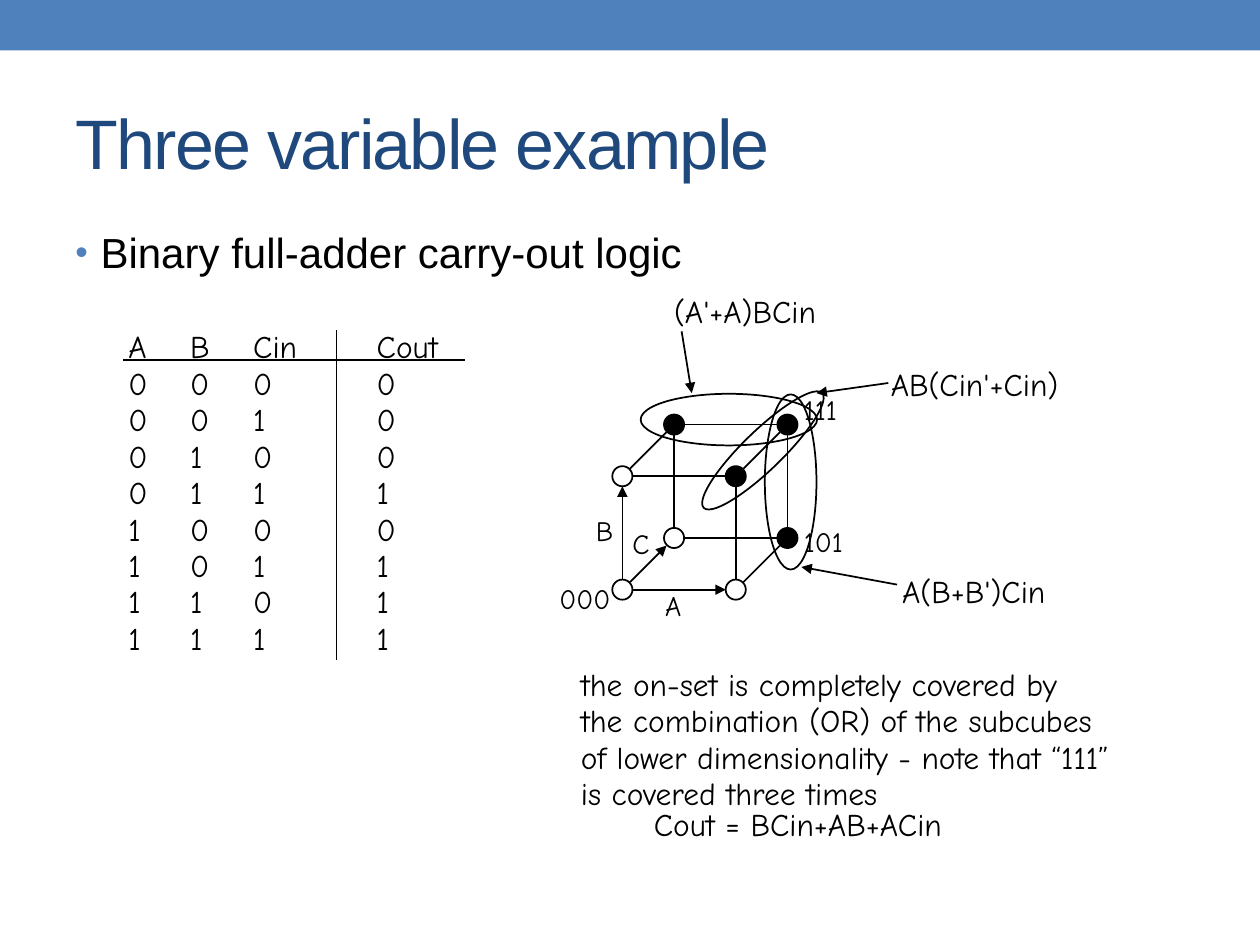
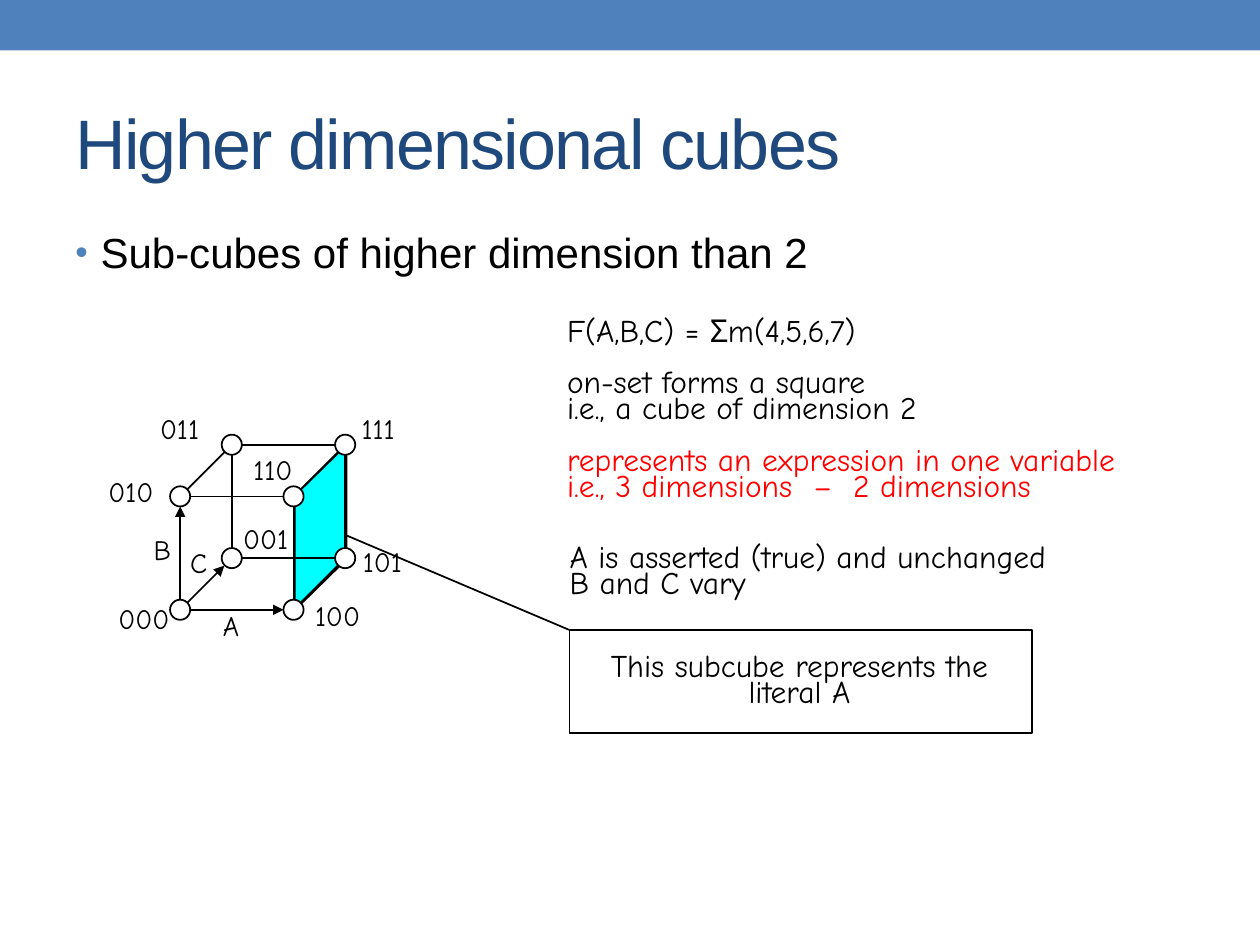
from itertools import product

from lxml.etree import SubElement as Sub
from pptx import Presentation
from pptx.dml.color import RGBColor as RGB
from pptx.enum.shapes import MSO_CONNECTOR as Link, MSO_SHAPE as Form
from pptx.enum.text import MSO_ANCHOR as Anchor, PP_ALIGN as Align
from pptx.oxml.ns import qn
from pptx.util import Pt

PX = 9144  # 100 px to the inch
BLUE = RGB(0x4F, 0x81, 0xBD)
NAVY = RGB(0x1F, 0x49, 0x7D)
BLACK = RGB(0, 0, 0)
WHITE = RGB(0xFF, 0xFF, 0xFF)
CYAN = RGB(0, 0xFF, 0xFF)
RED = RGB(0xFF, 0, 0)

HAND = {"name": "Comic Neue", "size": Pt(18)}
TAG = {"name": "Comic Neue", "size": Pt(16)}
HEAD = {"name": "Arial", "size": Pt(40)}
POINT = {"name": "Arial", "size": Pt(24)}
TIGHT = {"margin_left": 2 * PX, "margin_right": 2 * PX,
         "margin_top": 3 * PX, "margin_bottom": 3 * PX, "word_wrap": False}

SIDE, DEPTH, NODE = 90, 41, 16
STEPS = [(SIDE, 0), (0, -SIDE), (DEPTH, -DEPTH)]  # along A, B, C
TRIMS = [(8, 0), (0, -8), (6, -6)]  # from a node's centre to its rim
TABS = [49, 99, 197]


def emu(*sizes):
    return [size * PX for size in sizes]


def put(item, values):
    """Set attributes from a dict of format values."""
    for name, value in values.items():
        setattr(item, name, value)


def write(on, box, lines, font, color=BLACK, frame=TIGHT, **para):
    """Add a text box with one paragraph per line; return its paragraphs."""
    area = on.add_textbox(*emu(*box)).text_frame
    put(area, frame)
    for i, line in enumerate(lines):
        part = area.add_paragraph() if i else area.paragraphs[0]
        part.text = line
        put(part, para)
        for run in part.runs:
            put(run.font, font)
            run.font.color.rgb = color
    return area.paragraphs


def draw(on, form, box, fill=None, line=BLACK, turn=0):
    shape = on.add_shape(form, *emu(*box))
    shape.shadow.inherit = False
    shape.rotation = turn
    if fill is None:
        shape.fill.background()
    else:
        shape.fill.solid()
        shape.fill.fore_color.rgb = fill
    if line is None:
        shape.line.fill.background()
    else:
        shape.line.color.rgb = line
        shape.line.width = Pt(1)
    return shape


def join(on, start, end, arrow=False):
    wire = on.add_connector(Link.STRAIGHT, *emu(*start, *end))
    put(wire.line, {"width": Pt(1)})
    wire.line.color.rgb = BLACK
    if arrow:
        Sub(wire.line._get_or_add_ln(), qn("a:tailEnd"), type="triangle")
    Sub(wire._element.spPr, qn("a:effectLst"))


def begin(deck, title, point):
    """Start a slide with the band, the title and one bullet point."""
    on = deck.slides.add_slide(deck.slide_layouts[6]).shapes
    draw(on, Form.RECTANGLE, (0, 0, 1000, 40), BLUE, None)
    wrap = {"word_wrap": True}
    head = write(on, (50, 58, 900, 108), [title], HEAD, NAVY,
                 {**wrap, "vertical_anchor": Anchor.MIDDLE})
    head[0].runs[0].font._element.set("spc", "-100")
    body = write(on, (50, 175, 900, 533), [point], POINT, frame=wrap,
                 space_before=Pt(4.8))
    props = body[0]._p.get_or_add_pPr()
    put_in = {"marL": 20 * PX, "indent": -20 * PX}
    for name, value in put_in.items():
        props.set(name, str(value))
    Sub(Sub(props, qn("a:buClr")), qn("a:srgbClr"), val=str(BLUE))
    Sub(props, qn("a:buSzPct"), val="85000")
    Sub(props, qn("a:buFont"), typeface="Arial")
    Sub(props, qn("a:buChar"), char="•")
    return on


def cube(on, x, y, tags, filled=()):
    """Draw a cube of nodes from corner 000 at x, y, with its tags."""
    for start in product((0, 1), repeat=3):
        left = x + sum(bit * dx for bit, (dx, _) in zip(start, STEPS))
        top = y + sum(bit * dy for bit, (_, dy) in zip(start, STEPS))
        for bit, (dx, dy), (tx, ty) in zip(start, STEPS, TRIMS):
            if not bit:
                join(on, (left + tx, top + ty),
                     (left + dx - tx, top + dy - ty), not any(start))
        name = "".join(map(str, start))
        draw(on, Form.OVAL, (left - NODE // 2, top - NODE // 2, NODE, NODE),
             BLACK if name in filled else WHITE)
    for text, left, top in tags:
        write(on, (left, top, 63 if len(text) == 1 else 78, 35), [text], TAG,
              line_spacing=Pt(15.8))


def truth(on):
    """Write the truth table of the carry-out, with its two rules."""
    join(on, (98, 286), (369, 286))
    join(on, (267, 262), (267, 524))
    rows = ["A\tB\tCin\tCout"]
    for bits in product((0, 1), repeat=3):
        rows.append("\t".join(map(str, (*bits, int(sum(bits) > 1)))))
    for part in write(on, (100, 258, 274, 272), rows, HAND,
                      line_spacing=Pt(20.8)):
        stops = Sub(part._p.get_or_add_pPr(), qn("a:tabLst"))
        for tab in TABS:
            Sub(stops, qn("a:tab"), pos=str(tab * PX), algn="l")


def adder(deck):
    on = begin(deck, "Three variable example",
               "Binary full-adder carry-out logic")
    truth(on)
    notes = [
        ("(A'+A)BCin", (533, 230, 175, 42)),
        ("AB(Cin'+Cin)", (705, 288, 197, 42)),
        ("A(B+B')Cin", (714, 452, 175, 42)),
        ("Cout = BCin+AB+ACin", (517, 637, 310, 46)),
        ("the on-set is completely covered by\n"
         "the combination (OR) of the subcubes\n"
         "of lower dimensionality - note that “111”\n"
         "is covered three times", (459, 526, 432, 100)),
    ]
    for text, box in notes:
        write(on, box, [text], HAND, line_spacing=Pt(20.8))
    tags = [("A", 526, 469), ("B", 471, 409), ("C", 500, 420),
            ("000", 442, 463), ("111", 636, 313), ("101", 636, 418)]
    cube(on.add_group_shape().shapes, 494, 468, tags,
         ("011", "101", "110", "111"))
    rings = [((607, 313, 41, 139), 0), ((558, 263, 41, 140), 270),
             ((590, 292, 31, 131), 45.9)]
    for box, turn in rings:
        draw(on, Form.OVAL, box, turn=turn)
    hints = [((541, 263), (549, 312)), ((712, 464), (636, 450)),
             ((705, 304), (648, 312))]
    for start, end in hints:
        join(on, start, end, True)


def higher(deck):
    on = begin(deck, "Higher dimensional cubes",
               "Sub-cubes of higher dimension than 2")
    close = {"line_spacing": Pt(14.8)}
    claims = write(on, (448, 253, 501, 178), [
        "F(A,B,C) = Σm(4,5,6,7)",
        "on-set forms a square\ni.e., a cube of dimension 2",
        "represents an expression in one variable\n"
        "i.e., 3 dimensions  –  2 dimensions",
    ], HAND, space_before=Pt(14.8), **close)
    for run in claims[-1].runs:
        run.font.color.rgb = RED
    write(on, (450, 433, 425, 55),
          ["A is asserted (true) and unchanged", "B and C vary"], HAND, **close)
    write(on, (458, 519, 353, 55),
          ["This subcube represents the", "literal A"], HAND,
          alignment=Align.CENTER, **close)
    draw(on, Form.RECTANGLE, (452, 500, 367, 82))
    join(on, (452, 500), (261, 419), True)

    group = on.add_group_shape().shapes
    face = draw(group, Form.PARALLELOGRAM, (189, 398, 131, 41), CYAN, turn=90)
    face.adjustments[0] = 0.98
    face._element.spPr.xfrm.set("flipV", "1")
    tags = [("A", 175, 485), ("B", 120, 424), ("C", 149, 435),
            ("000", 92, 479), ("111", 285, 328), ("101", 286, 434),
            ("100", 248, 477), ("001", 191, 416), ("010", 84, 378),
            ("011", 125, 328), ("110", 199, 361)]
    cube(group, 143, 484, tags)


def main():
    deck = Presentation()
    put(deck, {"slide_width": 1000 * PX, "slide_height": 750 * PX})
    adder(deck)
    higher(deck)
    deck.save("out.pptx")


if __name__ == "__main__":
    main()
